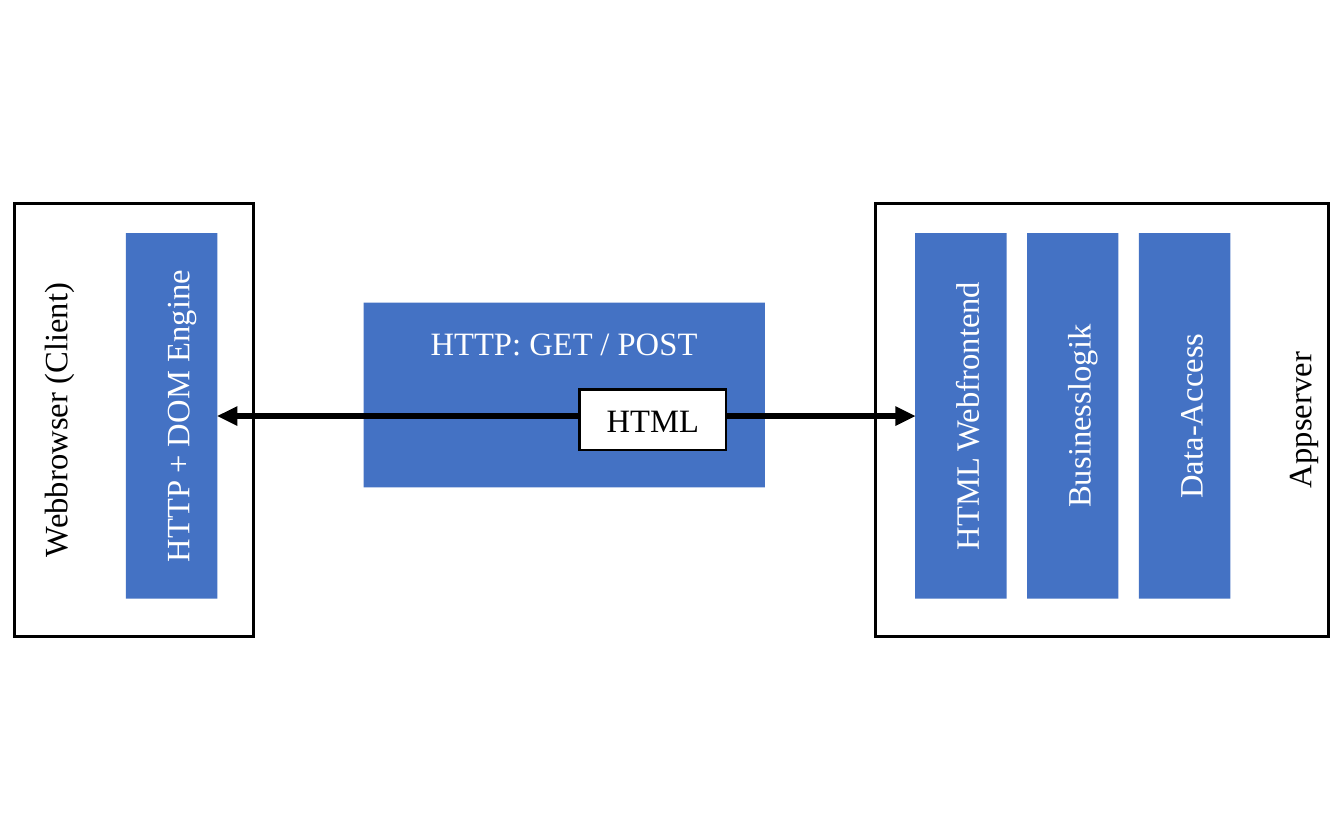
from lxml import etree
from pptx import Presentation
from pptx.dml.color import RGBColor
from pptx.enum.shapes import MSO_CONNECTOR, MSO_SHAPE
from pptx.enum.text import MSO_ANCHOR, PP_ALIGN
from pptx.oxml.ns import qn
from pptx.util import Pt

RECTANGLE = MSO_SHAPE.RECTANGLE
STRAIGHT = MSO_CONNECTOR.STRAIGHT
TOP, MIDDLE, BOTTOM = MSO_ANCHOR.TOP, MSO_ANCHOR.MIDDLE, MSO_ANCHOR.BOTTOM
CENTER = PP_ALIGN.CENTER
LEFT_SIDE, RIGHT_SIDE = 1, 3

BLACK = RGBColor(0x00, 0x00, 0x00)
WHITE = RGBColor(0xFF, 0xFF, 0xFF)
BLUE = RGBColor(0x44, 0x72, 0xC4)

FONT = {"name": "Times New Roman", "size": Pt(11)}
LABEL = {"alignment": CENTER, "line_spacing": 1.25, "space_after": Pt(12)}
BAR_LABEL = {**LABEL, "space_before": Pt(12)}
PLAIN_LABEL = {"alignment": CENTER}
SYSTEM_MARGINS = {"margin_top": Pt(7.2), "margin_bottom": Pt(7.2)}

# Regions: left, top, width, height in points
CLIENT = (4.9, 68.7, 80.6, 146)
MESSAGE = (122.7, 102.1, 135.5, 62.4)
SERVER = (295.4, 68.7, 153, 146)
BAR_TOP, BAR_WIDTH, BAR_HEIGHT, BAR_PITCH = 10, 30.9, 123.4, 37.75


def set_all(target, values):
    for name, value in values.items():
        setattr(target, name, value)


def draw_line(line, width):
    line.color.rgb = BLACK
    line.width = Pt(width)
    outline = line._get_or_add_ln()
    etree.SubElement(outline, qn("a:miter"), lim="800000")
    return outline


def add_box(page, box, text, fill, line_width=0, anchor=TOP, upright=False, label=LABEL):
    shape = page.shapes.add_shape(RECTANGLE, *map(Pt, box))
    shape.shadow.inherit = False
    shape.fill.solid()
    shape.fill.fore_color.rgb = fill
    if line_width:
        draw_line(shape.line, line_width)
    else:
        shape.line.fill.background()
    frame = shape.text_frame
    set_all(frame, {"word_wrap": True, "vertical_anchor": anchor})
    if upright:
        frame._txBody.bodyPr.set("vert", "vert270")
    para = frame.paragraphs[0]
    set_all(para, label)
    span = para.add_run()
    span.text = text
    set_all(span.font, FONT)
    span.font.color.rgb = WHITE if fill == BLUE else BLACK
    return shape


def add_system(page, box, name, anchor, first_bar, bar_names):
    """A framed system with its layers as upright bars; returns the bars."""
    left, top, _, _ = box
    system = add_box(page, box, name, WHITE, 1, anchor, upright=True)
    set_all(system.text_frame, SYSTEM_MARGINS)
    return [
        add_box(page,
                (left + first_bar + index * BAR_PITCH, top + BAR_TOP, BAR_WIDTH, BAR_HEIGHT),
                bar_name, BLUE, anchor=MIDDLE, upright=True, label=BAR_LABEL)
        for index, bar_name in enumerate(bar_names)
    ]


def add_double_arrow(page, start, end):
    arrow = page.shapes.add_connector(STRAIGHT, 0, 0, 0, 0)
    arrow.begin_connect(start, RIGHT_SIDE)
    arrow.end_connect(end, LEFT_SIDE)
    outline = draw_line(arrow.line, 2.25)
    for tag in ("a:headEnd", "a:tailEnd"):
        etree.SubElement(outline, qn(tag), type="triangle")
    etree.SubElement(arrow._element.spPr, qn("a:effectLst"))


def add_exchange(page, box, browser_engine, web_frontend):
    """The request between both systems, with its payload on the arrow."""
    left, top, _, _ = box
    add_box(page, box, "HTTP: GET / POST", BLUE)
    add_double_arrow(page, browser_engine, web_frontend)
    add_box(page, (left + 72.9, top + 29.4, 49.6, 20.4), "HTML", WHITE, 0.75,
            label=PLAIN_LABEL)


def main():
    deck = Presentation()
    set_all(deck, {"slide_width": Pt(453.6), "slide_height": Pt(283.5)})
    # The template's 4:3 preset does not apply to this size
    deck.element.sldSz.attrib.pop("type", None)
    page = deck.slides.add_slide(deck.slide_layouts[6])

    # Both systems
    client_bars = add_system(page, CLIENT, "Webbrowser (Client)", TOP, 37.6,
                             ["HTTP + DOM Engine"])
    server_bars = add_system(page, SERVER, "Appserver", BOTTOM, 13.5,
                             ["HTML Webfrontend", "Businesslogik", "Data-Access"])
    # Communication between them
    add_exchange(page, MESSAGE, client_bars[0], server_bars[0])
    deck.save("out.pptx")


if __name__ == "__main__":
    main()
